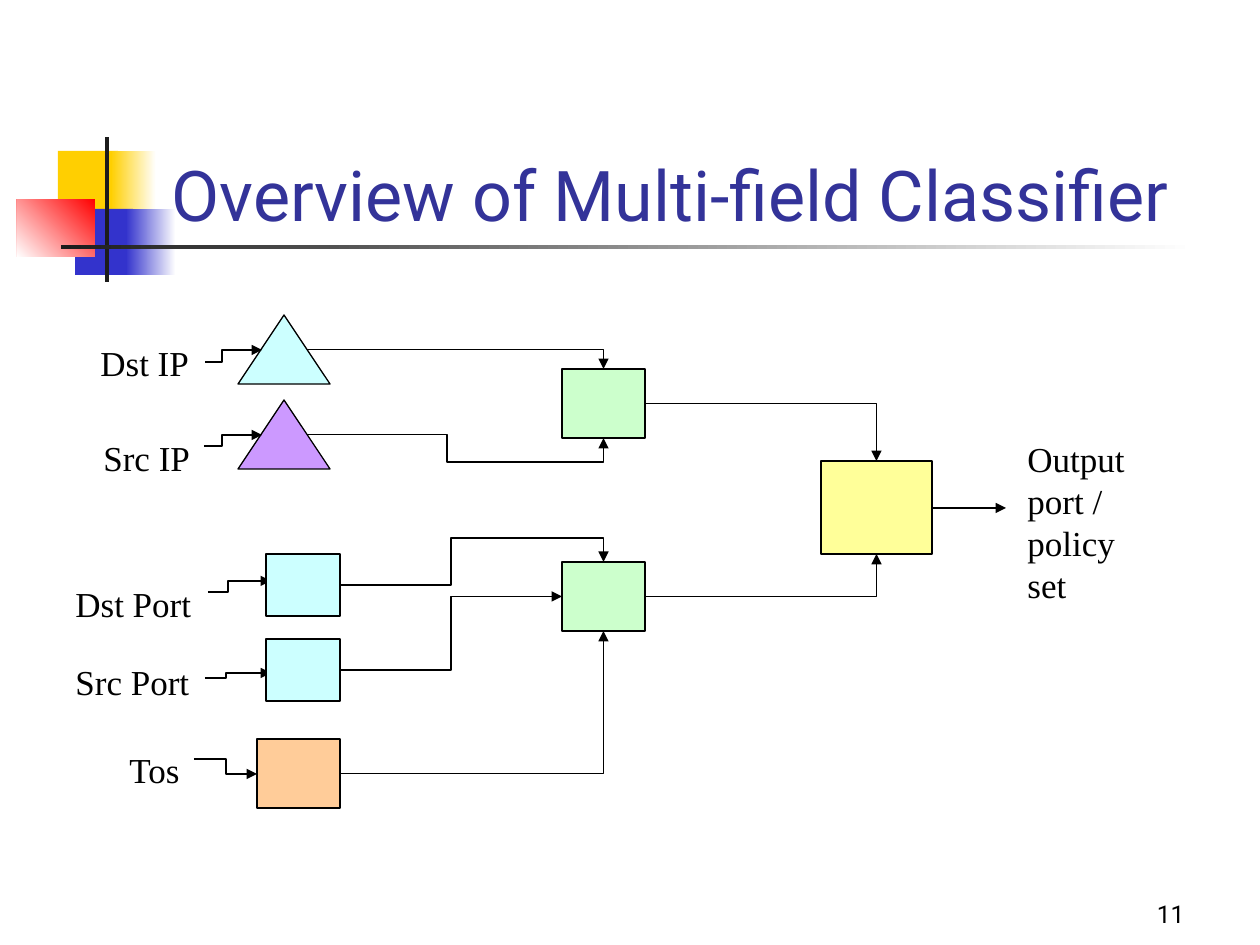
"""Builds a slide that shows the stages of a multi-field classifier."""
from lxml import etree
from pptx import Presentation
from pptx import util as u
from pptx.dml.color import RGBColor
from pptx.enum import shapes, text
from pptx.oxml import ns

SCALE = 914400 / 126
BOX = shapes.MSO_SHAPE.RECTANGLE
PEAK = shapes.MSO_SHAPE.ISOSCELES_TRIANGLE
SERIF, SANS = "Times New Roman", "Roboto"
BLACK, WHITE = "000000", "FFFFFF"
SITES = {
    "top": (0.5, 0, 0), "left": (0, 0.5, 1), "bottom": (0.5, 1, 2),
    "right": (1, 0.5, 3), "slope": (0.75, 0.5, 5),
}
DECOR = [
    ((58, 151, 60, 66), "FFCF01", None, 0),
    ((111, 151, 45, 66), WHITE, "FFCF01", 180),
    ((75, 209, 58, 66), "3333CC", None, 0),
    ((126, 209, 50, 66), WHITE, "3333CC", 180),
    ((17, 199, 78, 58), "FF0000", WHITE, 225),
    ((105, 137, 4, 145), "1C1C1C", None, 0),
    ((61, 245, 1134, 4), WHITE, "1C1C1C", 180),
]
LABELS = [
    ("Dst IP", (88, 335, 116, 55)),
    ("Src IP", (91, 430, 112, 55)),
    ("Dst Port", (63, 576, 141, 55)),
    ("Src Port", (63, 654, 142, 55)),
    ("Tos", (117, 742, 77, 55)),
]
BLOCKS = {
    "dst ip": (PEAK, (238, 315, 92, 69), "CCFFFF"),
    "src ip": (PEAK, (238, 400, 92, 69), "CC99FF"),
    "ip": (BOX, (562, 369, 83, 69), "CCFFCC"),
    "port": (BOX, (562, 562, 83, 69), "CCFFCC"),
    "rule": (BOX, (821, 461, 111, 93), "FFFF99"),
    "tos": (BOX, (257, 739, 83, 69), "FFCC99"),
}
PORTS = {
    "dst port": (BOX, (266, 554, 74, 62), "CCFFFF"),
    "src port": (BOX, (266, 639, 74, 62), "CCFFFF"),
}
INPUTS = [
    ((205, 362), (262, 350), 222),
    ((204, 446), (262, 435), 222),
    ((208, 592), (271, 581), 228),
    ((205, 678), (271, 673), 226),
    ((194, 759), (257, 774), 226),
]
LINKS = [
    ("dst ip", "slope", "ip", "top", ()),
    ("src ip", "slope", "ip", "bottom", (447, 462)),
    ("ip", "right", "rule", "top", ()),
    ("dst port", "right", "port", "top", (451, 538)),
    ("src port", "right", "port", "left", (451,)),
    ("tos", "right", "port", "bottom", ()),
    ("port", "right", "rule", "bottom", ()),
]


def px(num):
    """Turn pixels into EMU."""
    return u.Emu(round(num * SCALE))


def rgb(code):
    """Turn a hex string into a colour."""
    return RGBColor.from_string(code)


def style(frame, size, font, code, align=text.PP_ALIGN.LEFT):
    """Format all the text of a frame."""
    for para in frame.paragraphs:
        para.alignment = align
        for run in para.runs:
            run.font.size = u.Pt(size)
            run.font.name = font
            run.font.color.rgb = rgb(code)


def block(slide, kind, rect, code):
    """Add a filled shape without a line."""
    shape = slide.shapes.add_shape(kind, *map(px, rect))
    shape.shadow.inherit = False
    shape.fill.solid()
    shape.fill.fore_color.rgb = rgb(code)
    shape.line.fill.background()
    return shape


def stage(slide, kind, rect, code):
    """Add an outlined block of the diagram."""
    shape = block(slide, kind, rect, code)
    shape.line.color.rgb = rgb(BLACK)
    shape.line.width = u.Pt(0.75)
    return shape


def decor(slide, rect, first, last, angle):
    """Add a plain or fading bar of the title motif."""
    shape = block(slide, BOX, rect, first)
    if last:
        shape.fill.gradient()
        shape.fill.gradient_angle = angle
        for stop, code in zip(shape.fill.gradient_stops, (first, last)):
            stop.color.rgb = rgb(code)


def label(slide, words, rect, size=20, font=SERIF, wrap=False,
          align=text.PP_ALIGN.LEFT, anchor=text.MSO_ANCHOR.TOP):
    """Add a text box."""
    frame = slide.shapes.add_textbox(*map(px, rect)).text_frame
    frame.text = words
    frame.word_wrap = wrap
    frame.vertical_anchor = anchor
    style(frame, size, font, BLACK, align)


def arrow(slide, start, end, bends=(), kind=shapes.MSO_CONNECTOR.ELBOW):
    """Add an arrow that turns at the given x and y."""
    line = slide.shapes.add_connector(kind, *map(px, (*start, *end)))
    line.line.color.rgb = rgb(BLACK)
    line.line.width = u.Pt(0.75)
    props = line.line._get_or_add_ln()
    etree.SubElement(props, ns.qn("a:tailEnd"), type="triangle")
    etree.SubElement(line._element.spPr, ns.qn("a:effectLst"))
    if kind == shapes.MSO_CONNECTOR.ELBOW:
        geom = line._element.spPr.find(ns.qn("a:prstGeom"))
        geom.set("prst", f"bentConnector{len(bends) + 2}")
        guides = geom.find(ns.qn("a:avLst"))
        for num, (bend, low, high) in enumerate(zip(bends, start, end), 1):
            ratio = round((bend - low) / (high - low) * 100000)
            etree.SubElement(guides, ns.qn("a:gd"), name=f"adj{num}",
                             fmla=f"val {ratio}")
    return line


def spot(rect, side):
    """Find the point of a named site on a block."""
    left, top, width, height = rect
    across, down, _ = SITES[side]
    return left + across * width, top + down * height


def link(slide, made, first, out, last, into, bends):
    """Join two blocks with a glued arrow."""
    plan = {**BLOCKS, **PORTS}
    line = arrow(slide, spot(plan[first][1], out),
                 spot(plan[last][1], into), bends)
    glue = line._element.find(".//" + ns.qn("p:cNvCxnSpPr"))
    for tag, name, side in (("a:stCxn", first, out), ("a:endCxn", last, into)):
        etree.SubElement(glue, ns.qn(tag), id=str(made[name].shape_id),
                         idx=str(SITES[side][2]))


def head(slide, words):
    """Place and format the title."""
    title = slide.shapes.title
    title.left, title.top, title.width, title.height = map(
        px, (159, 84, 1074, 158))
    title.text_frame.text = words
    title.text_frame.vertical_anchor = text.MSO_ANCHOR.BOTTOM
    style(title.text_frame, 40, SANS, "333399")


def main():
    """Build and save the slide."""
    deck = Presentation()
    deck.slide_width, deck.slide_height = u.Inches(10), u.Inches(7.5)
    slide = deck.slides.add_slide(deck.slide_layouts[5])
    for item in DECOR:
        decor(slide, *item)
    head(slide, "Overview of Multi-field Classifier")
    for item in LABELS:
        label(slide, *item)
    made = {name: stage(slide, *item) for name, item in BLOCKS.items()}
    for start, end, bend in INPUTS:
        arrow(slide, start, end, (bend,))
    for name, item in PORTS.items():
        made[name] = stage(slide, *item)
    for item in LINKS:
        link(slide, made, *item)
    arrow(slide, (932, 508), (1006, 508), kind=shapes.MSO_CONNECTOR.STRAIGHT)
    label(slide, "Output port / policy set", (1015, 431, 130, 181), wrap=True)
    label(slide, "11", (935, 872, 262, 63), 14, SANS, True,
          text.PP_ALIGN.RIGHT, text.MSO_ANCHOR.BOTTOM)
    deck.save("out.pptx")


if __name__ == "__main__":
    main()
